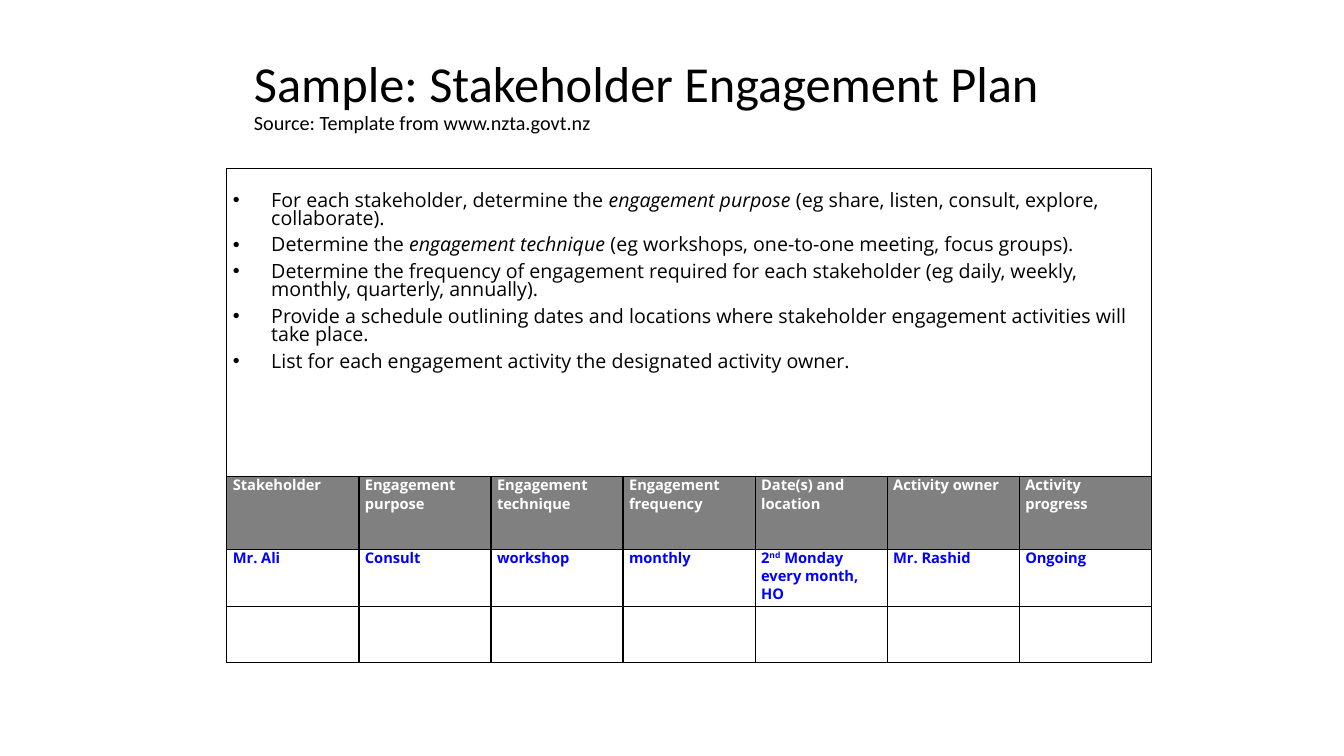
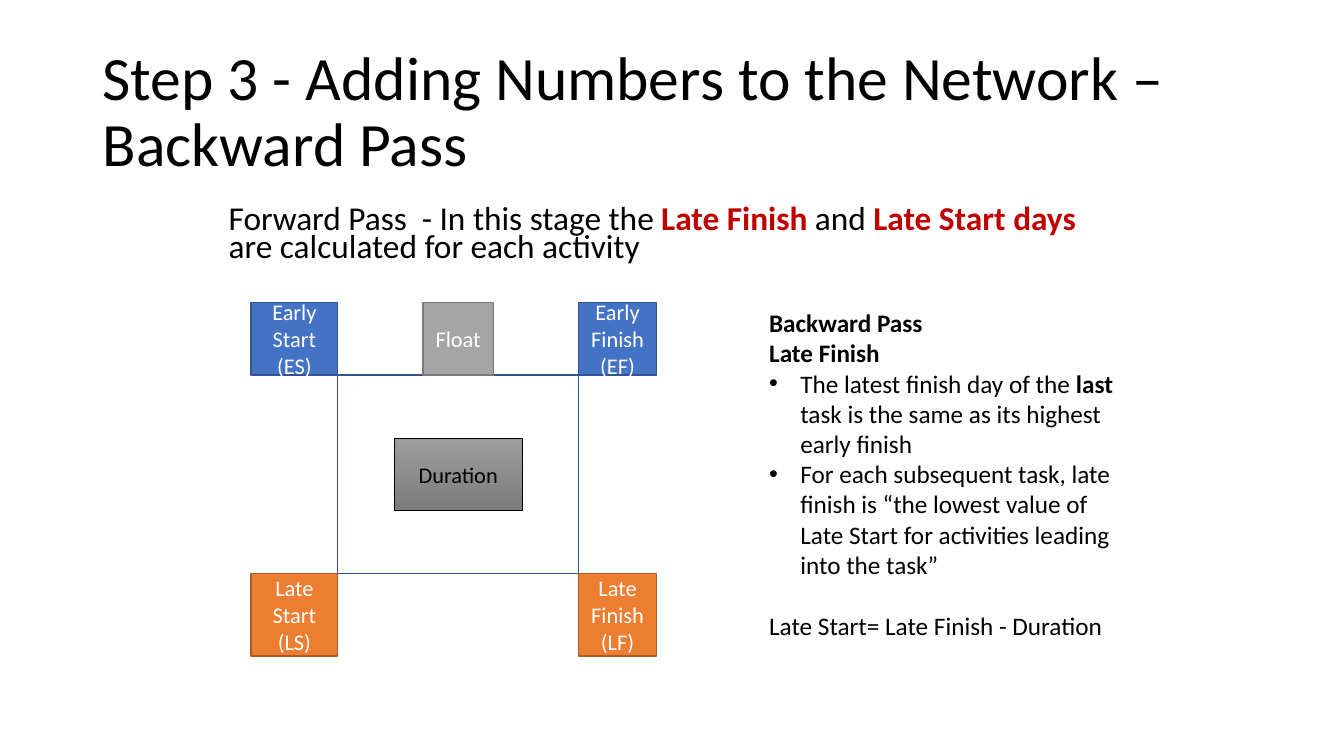
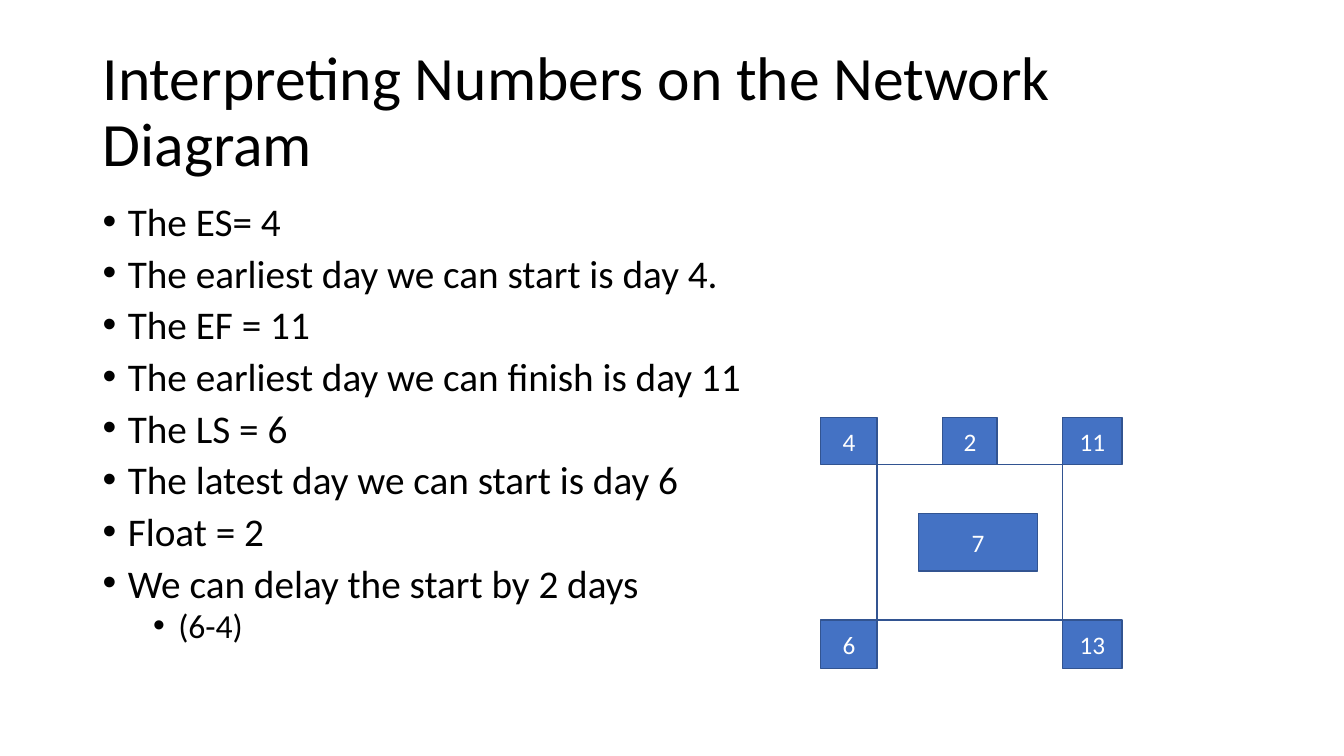
from lxml import etree
from pptx import Presentation
from pptx.dml.color import RGBColor
from pptx.enum.shapes import MSO_SHAPE
from pptx.enum.text import MSO_ANCHOR, PP_ALIGN
from pptx.oxml.ns import qn
from pptx.util import Inches, Pt

RECT = MSO_SHAPE.RECTANGLE
MIDDLE, TOP = MSO_ANCHOR.MIDDLE, MSO_ANCHOR.TOP
CENTER = PP_ALIGN.CENTER

BLACK = RGBColor(0x00, 0x00, 0x00)
WHITE = RGBColor(0xFF, 0xFF, 0xFF)
RED = RGBColor(0xC0, 0x00, 0x00)
ENTRY_BLUE = RGBColor(0x00, 0x00, 0xFF)
HEADER_GREY = RGBColor(0x80, 0x80, 0x80)
BLUE = RGBColor(0x44, 0x72, 0xC4)
BLUE_EDGE = RGBColor(0x32, 0x54, 0x91)
ORANGE = RGBColor(0xED, 0x7D, 0x31)
ORANGE_EDGE = RGBColor(0xAF, 0x5C, 0x24)
GREY = RGBColor(0xA5, 0xA5, 0xA5)
GREY_EDGE = RGBColor(0x7A, 0x7A, 0x7A)
GRADIENT = (RGBColor(0x9D, 0x9D, 0x9D), RGBColor(0x7C, 0x7C, 0x7C))

FONT = "Calibri"
TABLE_FONT = "Open Sans"
TITLE_BOX = (0.92, 0.4, 11.5, 1.45)

# Box styles: fill, edge, edge width, text colour
BLUE_BOX = (BLUE, BLUE_EDGE, 1, WHITE)
ORANGE_BOX = (ORANGE, ORANGE_EDGE, 1, WHITE)
GREY_BOX = (GREY, GREY_EDGE, 1, WHITE)
FRAME_BOX = (WHITE, BLUE_EDGE, 1, BLACK)
GRADIENT_BOX = (GRADIENT, BLACK, 0.5, BLACK)


def set_bullet(p, left, hanging):
    pPr = p._p.get_or_add_pPr()
    pPr.set("marL", str(Inches(left)))
    pPr.set("indent", str(-Inches(hanging)))
    etree.SubElement(pPr, qn("a:buFont"), typeface="Arial")
    etree.SubElement(pPr, qn("a:buChar"), char="•")


def add_paragraph(tf, runs, size=18, font=FONT, color=BLACK, bold=False, align=None,
                  bullet=None, spacing=None, before=0, after=0):
    """Add runs: a string, or a list of strings and (text, overrides) pairs."""
    first = not tf.paragraphs[0].runs
    p = tf.paragraphs[0] if first else tf.add_paragraph()
    if bullet:
        set_bullet(p, *bullet)
    if spacing:
        p.line_spacing = spacing
    p.space_before = Pt(0 if first else before)
    p.space_after = Pt(after)
    p.alignment = align
    for item in [runs] if isinstance(runs, str) else runs:
        text, own = (item, {}) if isinstance(item, str) else item
        if text == "\n":
            p.add_line_break()
            continue
        r = p.add_run()
        r.text = text
        r.font.name = font
        r.font.size = Pt(own.get("size", size))
        r.font.color.rgb = own.get("color", color)
        r.font.bold = own.get("bold", bold)
        r.font.italic = own.get("italic", False)
        if "baseline" in own:
            r._r.get_or_add_rPr().set("baseline", str(own["baseline"]))


def add_textbox(s, box, anchor=TOP):
    tf = s.shapes.add_textbox(*map(Inches, box)).text_frame
    tf.word_wrap = True
    tf.vertical_anchor = anchor
    return tf


def add_title(s, runs, box=TITLE_BOX, size=44):
    add_paragraph(add_textbox(s, box, MIDDLE), runs, size=size, spacing=0.9)


def add_box(group, box, style, text="", size=16):
    fill, edge, width, color = style
    sp = group.shapes.add_shape(RECT, *map(Inches, box))
    sp.shadow.inherit = False
    if isinstance(fill, RGBColor):
        sp.fill.solid()
        sp.fill.fore_color.rgb = fill
    else:
        sp.fill.gradient()
        sp.fill.gradient_angle = 270
        for stop, stop_color in zip(sp.fill.gradient_stops, fill):
            stop.color.rgb = stop_color
    sp.line.color.rgb = edge
    sp.line.width = Pt(width)
    if text:
        tf = sp.text_frame
        tf.word_wrap = True
        tf.vertical_anchor = MIDDLE
        add_paragraph(tf, text, size=size, color=color, align=CENTER)


def add_activity_node(s, origin, widths, heights, corners, slack, duration, size):
    """Draw a frame with a box outside each corner, float on top and duration inside.

    corners lists (text, style) row by row; slack is (text, style, width);
    duration is (text, style, width, height, shift to the right).
    """
    group = s.shapes.add_group_shape()
    left, top = origin
    xs = (left, left + widths[0], left + widths[0] + widths[1])
    ys = (top, top + heights[0], top + heights[0] + heights[1])
    mid_x, mid_y = xs[1] + widths[1] / 2, ys[1] + heights[1] / 2
    add_box(group, (xs[1], ys[1], widths[1], heights[1]), FRAME_BOX)
    for i, (text, style) in enumerate(corners):
        row, col = i // 2 * 2, i % 2 * 2
        add_box(group, (xs[col], ys[row], widths[col], heights[row]), style, text, size)
    text, style, w, h, shift = duration
    add_box(group, (mid_x - w / 2 + shift, mid_y - h / 2, w, h), style, text, size)
    text, style, w = slack
    add_box(group, (mid_x - w / 2, top, w, heights[0]), style, text, size)


def format_cell(cell, fill=None, top=0):
    cell.margin_left = cell.margin_right = Inches(0.06)
    cell.margin_top, cell.margin_bottom = Inches(top), 0
    tcPr = cell._tc.get_or_add_tcPr()
    for side in ("a:lnL", "a:lnR", "a:lnT", "a:lnB"):
        ln = etree.SubElement(tcPr, qn(side), w=str(Pt(1)))
        line_fill = etree.SubElement(ln, qn("a:solidFill"))
        etree.SubElement(line_fill, qn("a:srgbClr"), val=str(BLACK))
    if fill is None:
        cell.fill.background()
    else:
        cell.fill.solid()
        cell.fill.fore_color.rgb = fill


def add_plan_table(s, box, heights, guidance, header, entries):
    table = s.shapes.add_table(len(heights), len(header), *map(Inches, box)).table
    table.first_row = table.horz_banding = False
    for row, height in zip(table.rows, heights):
        row.height = Inches(height)
    for i, row in enumerate(table.rows):
        for cell in row.cells:
            format_cell(cell, HEADER_GREY if i == 1 else None, 0.26 if i == 0 else 0)
    intro = table.cell(0, 0)
    intro.merge(table.cell(0, len(header) - 1))
    for runs in guidance:
        add_paragraph(intro.text_frame, runs, size=14, font=TABLE_FONT,
                      bullet=(0.38, 0.38), spacing=Pt(13), after=6)
    for i, (texts, color) in enumerate(((header, WHITE), (entries, ENTRY_BLUE)), 1):
        for j, runs in enumerate(texts):
            add_paragraph(table.cell(i, j).text_frame, runs, size=10.5, font=TABLE_FONT,
                          color=color, bold=True, spacing=Pt(13))


def engagement_plan(s):
    add_title(s, ["Sample: Stakeholder Engagement Plan", "\n",
                  ("Source: Template from www.nzta.govt.nz", {"size": 14.4})],
              box=(2.42, 0.5, 8.77, 0.92), size=36)
    italic = {"italic": True}
    guidance = [
        ["For each stakeholder, determine the ", ("engagement purpose", italic),
         " (eg share, listen, consult, explore, collaborate)."],
        ["Determine the ", ("engagement technique", italic),
         " (eg workshops, one-to-one meeting, focus groups)."],
        "Determine the frequency of engagement required for each stakeholder "
        "(eg daily, weekly, monthly, quarterly, annually).",
        "Provide a schedule outlining dates and locations where stakeholder "
        "engagement activities will take place.",
        "List for each engagement activity the designated activity owner.",
    ]
    header = ["Stakeholder", "Engagement purpose", "Engagement technique",
              "Engagement frequency", "Date(s) and location", "Activity owner",
              "Activity progress"]
    entries = ["Mr. Ali", "Consult", "workshop", "monthly",
               ["2", ("nd", {"baseline": 30000}), " Monday every month, HO"],
               "Mr. Rashid", "Ongoing"]
    add_plan_table(s, (2.25, 1.67, 9.17, 4.9), (3.06, 0.72, 0.57, 0.55),
                   guidance, header, entries)


def backward_pass(s):
    add_title(s, "Step 3 - Adding Numbers to the Network – Backward Pass")
    key = {"color": RED, "bold": True}
    add_paragraph(add_textbox(s, (2.17, 2.02, 8.99, 0.71)),
                  ["Forward Pass  - In this stage the ", ("Late Finish ", key), "and ",
                   ("Late Start days ", key), "are calculated for each activity"],
                  size=23.8, spacing=0.7)
    add_activity_node(
        s, (2.49, 3), (0.86, 2.39, 0.77), (0.72, 1.97, 0.82),
        corners=[("Early Start (ES)", BLUE_BOX), ("Early Finish (EF)", BLUE_BOX),
                 ("Late Start (LS)", ORANGE_BOX), ("Late Finish (LF)", ORANGE_BOX)],
        slack=("Float", GREY_BOX, 0.7),
        duration=("Duration", GRADIENT_BOX, 1.27, 0.72, 0), size=16)
    tf = add_textbox(s, (7.53, 3, 3.78, 3.43))
    for heading in ("Backward Pass", "Late Finish"):
        add_paragraph(tf, heading, bold=True)
    for runs in (["The latest finish day of the ", ("last", {"bold": True}),
                  " task is the same as its highest early finish"],
                 "For each subsequent task, late finish is “the lowest value of "
                 "Late Start for activities leading into the task”"):
        add_paragraph(tf, runs, bullet=(0.31, 0.31))
    add_paragraph(tf, "Late Start= Late Finish - Duration", before=22)


def interpreting_numbers(s):
    add_title(s, "Interpreting Numbers on the Network Diagram")
    tf = add_textbox(s, (0.92, 2, 11.5, 4.76))
    for text in ("The ES= 4", "The earliest day we can start is day 4.", "The EF = 11",
                 "The earliest day we can finish is day 11", "The LS = 6",
                 "The latest day we can start is day 6", "Float = 2",
                 "We can delay the start by 2 days"):
        add_paragraph(tf, text, size=28, bullet=(0.25, 0.25), spacing=0.8, before=10)
    add_paragraph(tf, "(6-4)", size=24, bullet=(0.75, 0.25), spacing=0.8, before=5)
    tf.paragraphs[-1].level = 1
    add_activity_node(
        s, (8.14, 4.14), (0.56, 1.84, 0.59), (0.47, 1.54, 0.48),
        corners=[(day, BLUE_BOX) for day in ("4", "11", "6", "13")],
        slack=("2", BLUE_BOX, 0.54),
        duration=("7", BLUE_BOX, 1.18, 0.57, 0.08), size=18)


def main():
    prs = Presentation()
    prs.slide_width, prs.slide_height = Inches(13.33), Inches(7.5)
    for build in (engagement_plan, backward_pass, interpreting_numbers):
        build(prs.slides.add_slide(prs.slide_layouts[6]))
    prs.save("out.pptx")


if __name__ == "__main__":
    main()
